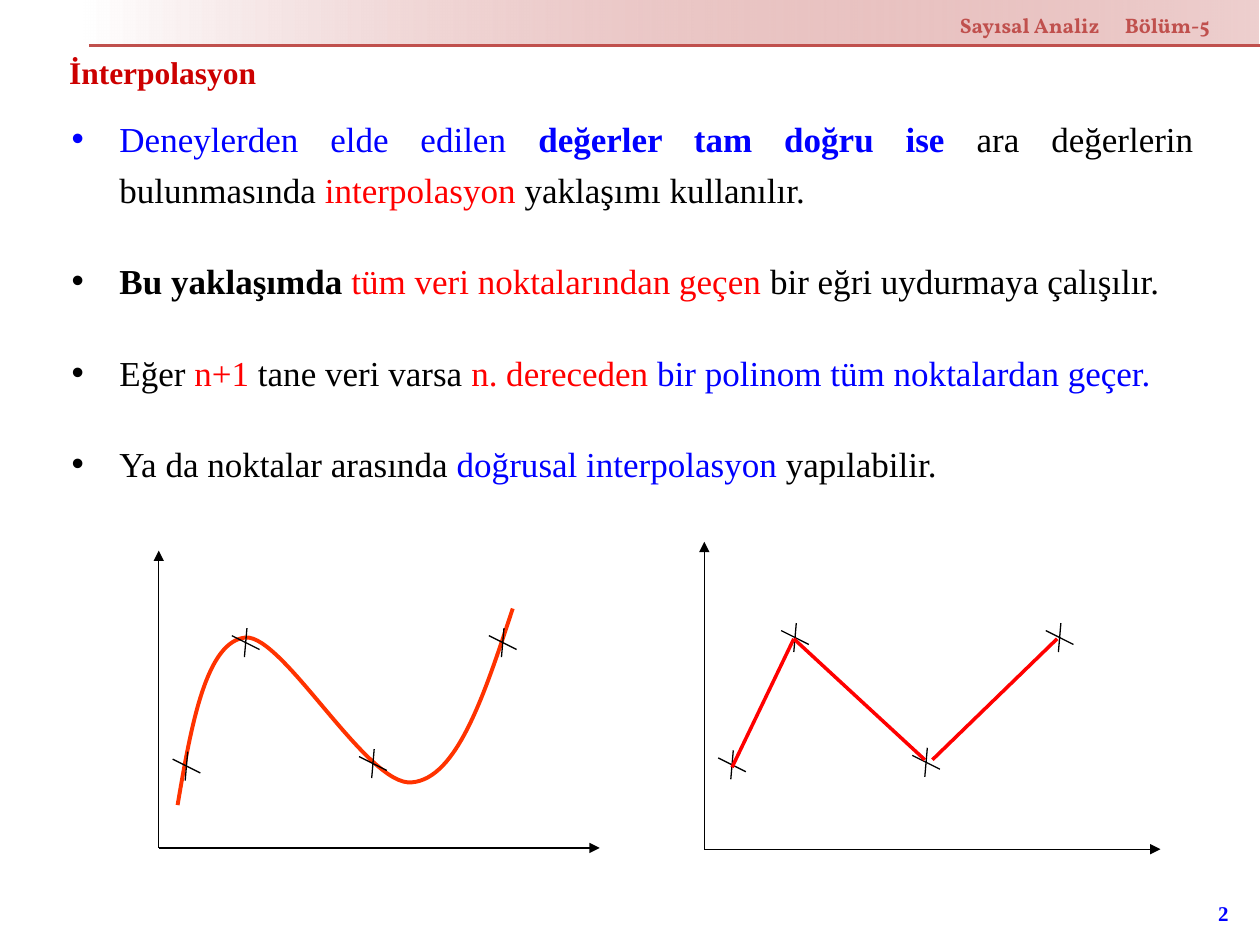
from lxml import etree
from pptx import Presentation
from pptx.dml.color import RGBColor
from pptx.enum.shapes import MSO_CONNECTOR, MSO_SHAPE
from pptx.enum.text import MSO_ANCHOR, PP_ALIGN
from pptx.oxml.ns import qn
from pptx.util import Inches, Pt

STRAIGHT = MSO_CONNECTOR.STRAIGHT
RECTANGLE = MSO_SHAPE.RECTANGLE
TOP, MIDDLE = MSO_ANCHOR.TOP, MSO_ANCHOR.MIDDLE
LEFT, RIGHT, JUSTIFY = PP_ALIGN.LEFT, PP_ALIGN.RIGHT, PP_ALIGN.JUSTIFY

WHITE = RGBColor(0xFF, 0xFF, 0xFF)
BLACK = RGBColor(0, 0, 0)
BLUE = RGBColor(0, 0, 0xFF)
RED = RGBColor(0xFF, 0, 0)
TITLE_RED = RGBColor(0xCC, 0, 0)
BRICK = RGBColor(0xC0, 0x50, 0x4D)
ORANGE = RGBColor(0xFF, 0x33, 0)
SERIF, HEADER_FONT = "Times New Roman", "Vollkorn"

# Each run is (text, colour, bold)
BULLETS = [
    [("Deneylerden elde edilen ", BLUE, False),
     ("değerler tam doğru ise", BLUE, True),
     (" ara değerlerin bulunmasında ", BLACK, False),
     ("interpolasyon ", RED, False),
     ("yaklaşımı kullanılır.", BLACK, False)],
    [("Bu yaklaşımda ", BLACK, True),
     ("tüm veri noktalarından geçen ", RED, False),
     ("bir eğri uydurmaya çalışılır.", BLACK, False)],
    [("Eğer ", BLACK, False),
     ("n+1", RED, False),
     (" tane veri varsa ", BLACK, False),
     ("n. dereceden ", RED, False),
     ("bir polinom tüm noktalardan geçer.", BLUE, False)],
    [("Ya da noktalar arasında ", BLACK, False),
     ("doğrusal interpolasyon ", BLUE, False),
     ("yapılabilir.", BLACK, False)],
]

# Positions inside the plots, in inches from the plot's top left corner
CURVE = [(0.15, 2.02), (0.26, 1.37), (0.38, 0.72), (0.69, 0.69), (0.99, 0.67),
         (1.66, 1.88), (2.01, 1.84), (2.37, 1.81), (2.59, 1.13), (2.81, 0.46)]
CURVE_MARKS = [(0.22, 1.71), (0.69, 0.73), (1.7, 1.69), (2.73, 0.73)]
SEGMENTS = [((0.22, 1.79), (0.71, 0.77)), ((0.71, 0.77), (1.75, 1.73)),
            ((1.81, 1.73), (2.8, 0.77))]
SEGMENT_MARKS = [(0.22, 1.77), (0.72, 0.76), (1.76, 1.75), (2.82, 0.76)]


def add_text(slide, box, paragraphs, size, font=SERIF, align=LEFT, anchor=TOP,
             wrap=True, spacing=None, gap=0, bullet=None, tab=None):
    shape = slide.shapes.add_textbox(*map(Inches, box))
    frame = shape.text_frame
    frame.word_wrap, frame.vertical_anchor = wrap, anchor
    for index, runs in enumerate(paragraphs):
        paragraph = frame.add_paragraph() if index else frame.paragraphs[0]
        paragraph.alignment = align
        if spacing:
            paragraph.line_spacing = spacing
        if index and gap:
            paragraph.space_before = Pt(gap)
        properties = paragraph._p.get_or_add_pPr()
        if bullet:
            properties.set("marL", str(Inches(0.38)))
            properties.set("indent", str(-Inches(0.38)))
            etree.SubElement(properties, qn("a:buFont"), typeface="Arial")
            etree.SubElement(properties, qn("a:buChar"), char=bullet)
        if tab:
            tabs = etree.SubElement(properties, qn("a:tabLst"))
            etree.SubElement(tabs, qn("a:tab"), pos=str(Inches(tab)), algn="l")
        for text, color, bold in runs:
            run = paragraph.add_run()
            run.text = text
            run.font.name, run.font.size, run.font.bold = font, Pt(size), bold
            run.font.color.rgb = color
    return shape


def add_line(shapes, start, end, color=BLACK, width=0.75, arrow=False):
    line = shapes.add_connector(STRAIGHT, *map(Inches, (*start, *end)))
    line.line.color.rgb, line.line.width = color, Pt(width)
    properties = line._element.spPr
    if arrow:
        etree.SubElement(properties.find(qn("a:ln")), qn("a:tailEnd"), type="triangle")
    etree.SubElement(properties, qn("a:effectLst"))


def add_curve(shapes, points, color, width):
    """Draw a Bézier curve: a start point, then three points per piece."""
    points = [(Inches(x), Inches(y)) for x, y in points]
    builder = shapes.build_freeform(*points[0])
    builder.add_line_segments(points[1:], close=False)
    curve = builder.convert_to_shape()
    curve.shadow.inherit = False
    curve.fill.background()
    curve.line.color.rgb, curve.line.width = color, Pt(width)
    # Join every three straight pieces into one cubic piece
    outline = next(curve._element.iter(qn("a:path")))
    straight = outline.findall(qn("a:lnTo"))
    for first in range(0, len(straight), 3):
        cubic = etree.SubElement(outline, qn("a:cubicBezTo"))
        for piece in straight[first:first + 3]:
            cubic.append(piece[0])
            outline.remove(piece)


def add_header(slide, box):
    left, top, width, height = box
    band = slide.shapes.add_shape(RECTANGLE, *map(Inches, box))
    band.shadow.inherit = False
    band.line.fill.background()
    band.fill.gradient()
    band.fill.gradient_angle = 0
    stops = band.fill.gradient_stops
    for stop, color, position in zip(stops, (WHITE, BRICK), (0, 1)):
        stop.color.rgb, stop.position = color, position
    end_color = list(band._element.spPr.iter(qn("a:srgbClr")))[-1]
    etree.SubElement(end_color, qn("a:alpha"), val="27000")
    bottom = top + height
    add_line(slide.shapes, (left + 0.05, bottom), (10, bottom), BRICK, 1.5)
    add_text(slide, (left + 6.86, top + 0.09, 2.36, 0.27),
             [[("Sayısal Analiz\tBölüm-5", BRICK, True)]], 12,
             font=HEADER_FONT, spacing=0.8, tab=1.31)


def add_plot(slide, box, marks, curve=None, segments=()):
    left, top, width, height = box
    shapes = slide.shapes.add_group_shape().shapes

    def place(x, y):
        return left + x, top + y

    if curve:
        add_curve(shapes, [place(*point) for point in curve], ORANGE, 2.25)
    # Axes
    origin = place(0, height)
    for end in (place(0, 0), place(width, height)):
        add_line(shapes, origin, end, arrow=True)
    # Data points, each a slanted cross
    for x, y in marks:
        for dx, dy in ((-0.01, 0.115), (0.11, 0.055)):
            add_line(shapes, place(x - dx, y - dy), place(x + dx, y + dy))
    for start, end in segments:
        add_line(shapes, place(*start), place(*end), RED, 2)


def main():
    presentation = Presentation()
    presentation.slide_width, presentation.slide_height = Inches(10), Inches(7.5)
    slide = presentation.slides.add_slide(presentation.slide_layouts[6])

    add_text(slide, (9.41, 7.05, 0.44, 0.4), [[("2", BLUE, True)]], 12,
             align=RIGHT, anchor=MIDDLE)
    add_header(slide, (0.66, 0, 9.33, 0.36))
    add_text(slide, (0.45, 0.37, 1.7, 0.4),
             [[("İnterpolasyon", TITLE_RED, True)]], 18, wrap=False)
    add_text(slide, (0.47, 0.82, 9.1, 3.23), BULLETS, 20, align=JUSTIFY,
             spacing=1.2, gap=23.5, bullet="•")
    add_plot(slide, (1.26, 4.37, 3.5, 2.36), CURVE_MARKS, curve=CURVE)
    add_plot(slide, (5.59, 4.3, 3.62, 2.44), SEGMENT_MARKS, segments=SEGMENTS)
    presentation.save("out.pptx")


if __name__ == "__main__":
    main()
